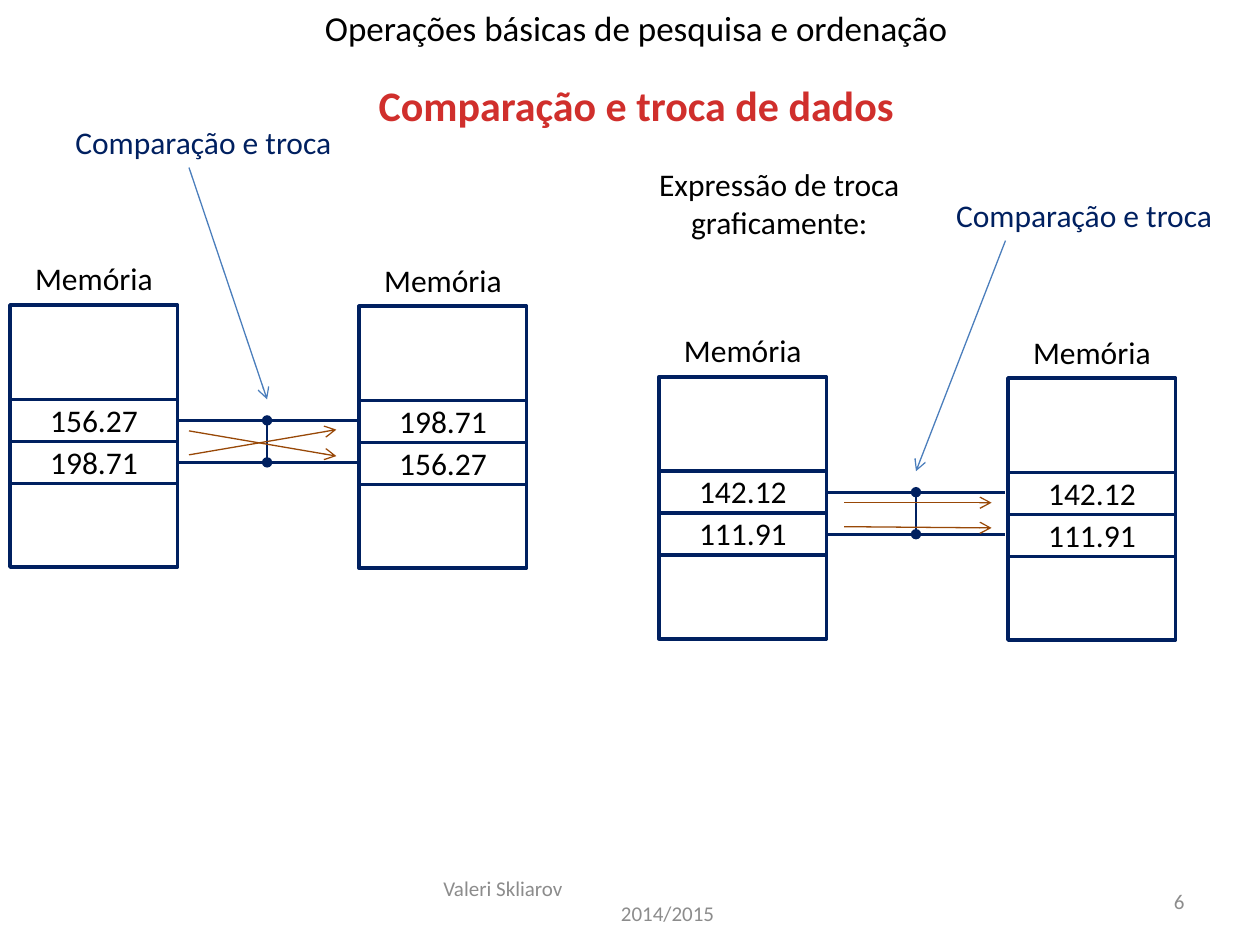
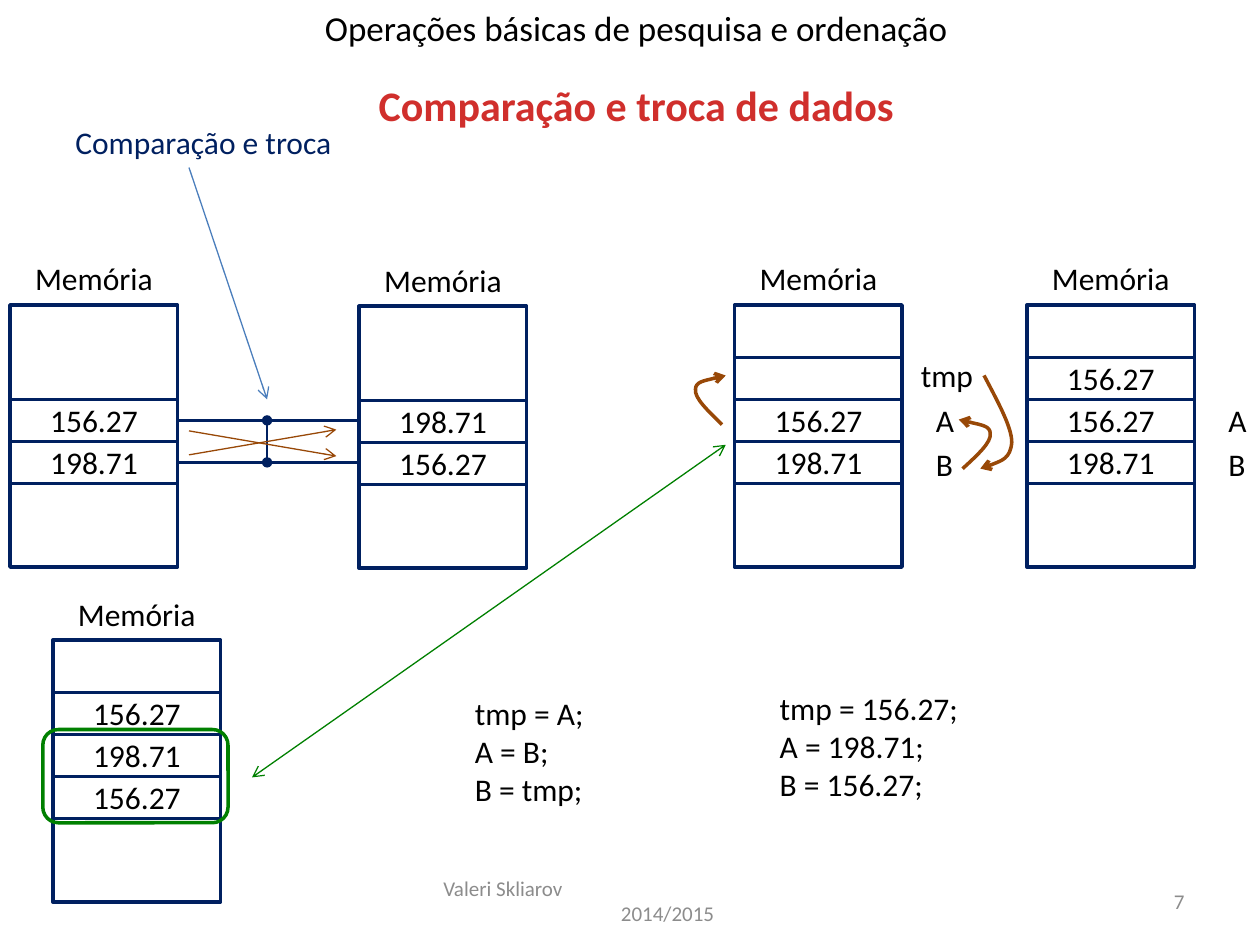
from lxml import etree
from pptx import Presentation
from pptx.dml.color import RGBColor
from pptx.enum.shapes import MSO_CONNECTOR, MSO_SHAPE
from pptx.enum.text import MSO_ANCHOR, PP_ALIGN
from pptx.oxml.ns import qn
from pptx.util import Inches, Pt

STRAIGHT = MSO_CONNECTOR.STRAIGHT
RECTANGLE, ROUNDED = MSO_SHAPE.RECTANGLE, MSO_SHAPE.ROUNDED_RECTANGLE
TOP, MIDDLE = MSO_ANCHOR.TOP, MSO_ANCHOR.MIDDLE
LEFT, CENTER, RIGHT = PP_ALIGN.LEFT, PP_ALIGN.CENTER, PP_ALIGN.RIGHT

COLORS = {
    "text": "000000", "footer": "8C8C8C", "title": "D02F2C", "navy": "002060",
    "pointer": "4B7EBC", "flow": "984807", "green": "008000", "paper": "FFFFFF",
}
FONT = "Calibri"
MEMORY_W, MEMORY_H = 1.33, 2.08
ROW_H = 1 / 3
ROW_TOPS = [0.75 + ROW_H * step for step in (-1, 0, 1)]  # tmp, A, B


def add_text(slide, box, lines, size=18, color="text", align=LEFT,
             anchor=TOP, bold=False, wrap=False):
    frame = slide.shapes.add_textbox(*map(Inches, box)).text_frame
    frame.word_wrap = wrap
    frame.vertical_anchor = anchor
    for index, line in enumerate(lines):
        paragraph = frame.paragraphs[0] if index == 0 else frame.add_paragraph()
        paragraph.alignment = align
        run = paragraph.add_run()
        run.text = line
        run.font.name = FONT
        run.font.size = Pt(size)
        run.font.bold = bold
        run.font.color.rgb = RGBColor.from_string(COLORS[color])
    return frame


def add_line(slide, start, end, color="navy", width=2.0, head=None, tail=None):
    line = slide.shapes.add_connector(STRAIGHT, *map(Inches, (*start, *end)))
    line.line.color.rgb = RGBColor.from_string(COLORS[color])
    line.line.width = Pt(width)
    for tag, style in (("a:headEnd", head), ("a:tailEnd", tail)):
        if style:
            etree.SubElement(line.line._ln, qn(tag), type=style)
    etree.SubElement(line._element.spPr, qn("a:effectLst"))


# Memories: left, top, values of the rows tmp, A and B (None: no tmp row)
# Exchanges: left, top, values before and after, label, pointer start, flow
# start, and the heights where each flow arrow starts and ends
crossed = {
    "at": (0.08, 2.42), "before": ("156.27", "198.71"), "after": ("198.71", "156.27"),
    "label": (0.5, 0.93), "pointer": (1.5, 1.33), "flow_x": 1.5,
    "flows": [(1.19, 0.99), (1.0, 1.2)],
}
parallel = {
    "at": (5.23, 2.99), "before": ("142.12", "111.91"), "after": ("142.12", "111.91"),
    "label": (7.49, 1.51), "pointer": (7.98, 1.91), "flow_x": 6.7,
    "flows": [(1.19, 1.2), (1.0, 1.0)],
}
pages = [
    {"number": "6", "exchanges": [crossed, parallel], "memories": []},
    {"number": "7", "exchanges": [crossed], "memories": [
        (5.83, 2.42, ("", "156.27", "198.71")),
        (8.15, 2.42, ("156.27", "156.27", "198.71")),
        (0.42, 5.08, ("156.27", "198.71", "156.27")),
    ]},
]

prs = Presentation()
prs.slide_width, prs.slide_height = Inches(10), Inches(7.5)

for page in pages:
    slide = prs.slides.add_slide(prs.slide_layouts[6])

    # Footer and titles
    footer = add_text(slide, (3.42, 6.95, 3.17, 0.4), ["Valeri Skliarov", "2014/2015"],
                      size=12, color="footer", anchor=MIDDLE, wrap=True)
    footer.paragraphs[1]._p.get_or_add_pPr().set("marL", str(Inches(1.41)))
    add_text(slide, (7.17, 6.95, 2.33, 0.4), [page["number"]],
             size=12, color="footer", align=RIGHT, anchor=MIDDLE, wrap=True)
    add_text(slide, (2.42, 0, 5.26, 0.44), ["Operações básicas de pesquisa e ordenação"],
             size=20, align=CENTER)
    add_text(slide, (2.87, 0.58, 4.36, 0.5), ["Comparação e troca de dados"],
             size=24, color="title", align=CENTER, bold=True)

    # Memories, with two for each exchange
    memories = list(page["memories"])
    for exchange in page["exchanges"]:
        left, top = exchange["at"]
        memories.append((left, top, (None, *exchange["before"])))
        memories.append((left + 2.77, top + 0.01, (None, *exchange["after"])))
    for left, top, values in memories:
        block = slide.shapes.add_shape(
            RECTANGLE, *map(Inches, (left, top, MEMORY_W, MEMORY_H)))
        block.shadow.inherit = False
        block.fill.solid()
        block.fill.fore_color.rgb = RGBColor.from_string(COLORS["paper"])
        block.line.color.rgb = RGBColor.from_string(COLORS["navy"])
        block.line.width = Pt(2)
        add_text(slide, (left + 0.1, top - 0.41, 1.15, 0.4), ["Memória"])
        for row_top, value in zip(ROW_TOPS, values):
            if value is None:
                continue
            y = top + row_top
            add_line(slide, (left, y), (left + MEMORY_W, y))
            if value:
                add_text(slide, (left + 0.22, y - 0.04, 0.9, 0.4), [value])
        bottom = top + ROW_TOPS[-1] + ROW_H
        add_line(slide, (left, bottom), (left + MEMORY_W, bottom))

    # Comparators: two wires, a bridge, a labelled pointer and the data flow
    for exchange in page["exchanges"]:
        left, top = exchange["at"]
        bridge_x = left + 2.04
        wires = [top + row_top + ROW_H / 2 for row_top in ROW_TOPS[1:]]
        for wire_y in wires:
            add_line(slide, (left + 1.34, wire_y), (left + 2.75, wire_y), width=1.5)
        add_line(slide, (bridge_x, wires[0]), (bridge_x, wires[1]),
                 width=1.5, head="oval", tail="oval")
        add_line(slide, exchange["pointer"], (bridge_x, top + 0.75),
                 color="pointer", width=0.75, tail="arrow")
        add_text(slide, (*exchange["label"], 2.26, 0.4), ["Comparação e troca"],
                 color="navy")
        flow_x = exchange["flow_x"]
        for start_y, end_y in exchange["flows"]:
            add_line(slide, (flow_x, top + start_y), (flow_x + 1.17, top + end_y),
                     color="flow", width=0.75, tail="arrow")

# Slide 6: caption of the second exchange
add_text(prs.slides[0], (5.06, 1.26, 2.25, 0.71), ["Expressão de troca graficamente:"],
         align=CENTER, wrap=True)

# Slide 7: variable names beside the memories
slide = prs.slides[1]
add_text(slide, (7.21, 2.78, 0.62, 0.4), ["tmp"])
for names_x in (7.33, 9.65):
    add_text(slide, (names_x, 3.13, 0.35, 0.4), ["A"])
    add_text(slide, (names_x, 3.48, 0.35, 0.4), ["B"])

# Curved moves: a start point, then three points for each Bézier segment
moves = [
    [(5.73, 3.37), (5.62, 3.26), (5.51, 3.16), (5.52, 3.09),
     (5.52, 3.03), (5.64, 3.01), (5.76, 2.98)],
    [(7.64, 3.72), (7.76, 3.61), (7.87, 3.51), (7.86, 3.44),
     (7.86, 3.38), (7.73, 3.36), (7.61, 3.33)],
    [(7.81, 2.98), (7.92, 3.19), (8.03, 3.39), (8.03, 3.51),
     (8.02, 3.64), (7.9, 3.68), (7.78, 3.72)],
]
for points in moves:
    points = [(Inches(x), Inches(y)) for x, y in points]
    builder = slide.shapes.build_freeform(*points[0])
    builder.add_line_segments(points[1:], close=False)
    move = builder.convert_to_shape()
    move.shadow.inherit = False
    move.fill.background()
    move.line.color.rgb = RGBColor.from_string(COLORS["flow"])
    move.line.width = Pt(2)
    etree.SubElement(move.line._ln, qn("a:tailEnd"), type="arrow")
    segments = list(move._element.iter(qn("a:lnTo")))
    for first in range(0, len(segments), 3):
        curve = etree.SubElement(segments[first].getparent(), qn("a:cubicBezTo"))
        for segment in segments[first:first + 3]:
            curve.append(segment[0])
            segment.getparent().remove(segment)

# Exchanged rows, framed and linked to the memory they came from
frame = slide.shapes.add_shape(ROUNDED, *map(Inches, (0.34, 5.79, 1.47, 0.74)))
frame.shadow.inherit = False
frame.fill.background()
frame.line.color.rgb = RGBColor.from_string(COLORS["green"])
frame.line.width = Pt(2)
add_line(slide, (2, 6.17), (5.76, 3.53), color="green", width=0.75,
         head="arrow", tail="arrow")

# Assignments in names and in values
add_text(slide, (3.67, 5.46, 1.08, 1.01), ["tmp = A;", "A = B;", "B = tmp;"])
add_text(slide, (6.09, 5.42, 1.63, 1.01), ["tmp = 156.27;", "A = 198.71;", "B = 156.27;"])

prs.save("out.pptx")
